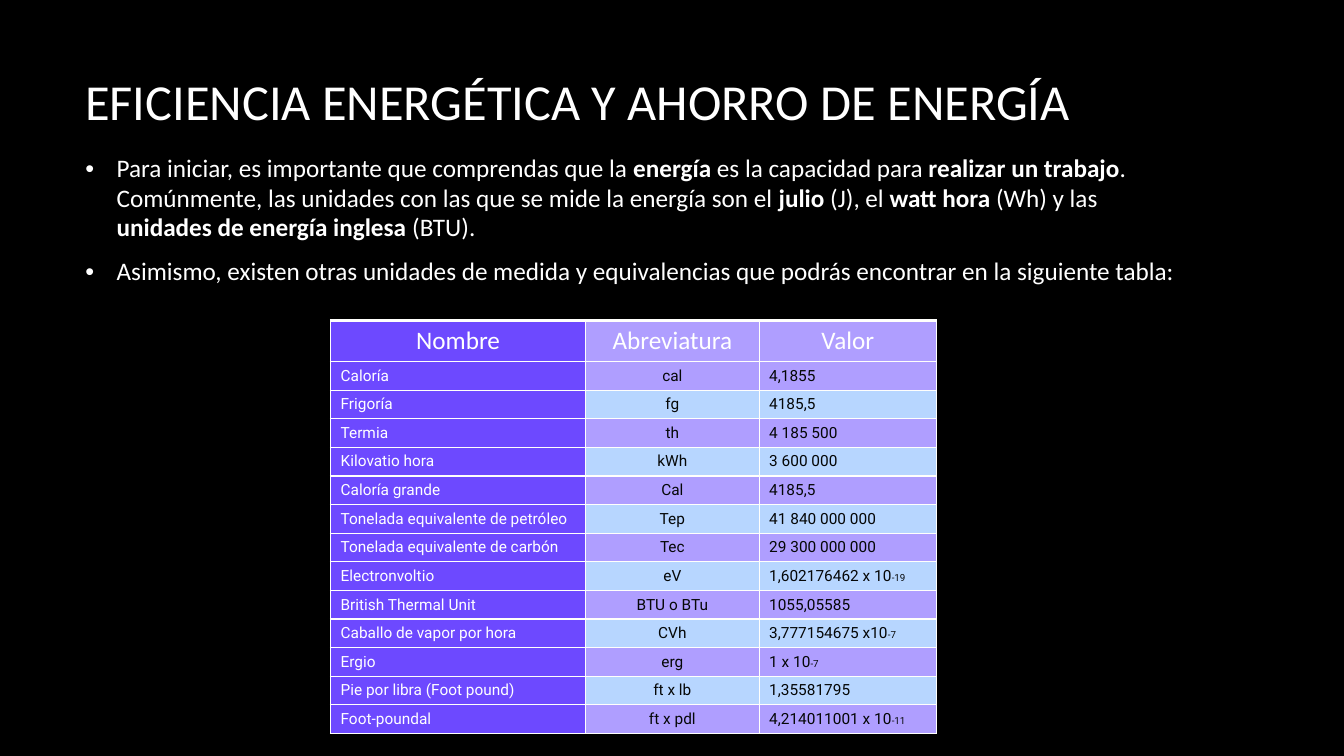
from lxml import etree
from pptx import Presentation
from pptx.dml.color import RGBColor
from pptx.enum.text import MSO_ANCHOR, PP_ALIGN
from pptx.oxml.ns import qn
from pptx.util import Cm, Pt

MIDDLE = MSO_ANCHOR.MIDDLE
LEFT = PP_ALIGN.LEFT
CENTER = PP_ALIGN.CENTER

BLACK = RGBColor(0x00, 0x00, 0x00)
WHITE = RGBColor(0xFF, 0xFF, 0xFF)
INK = RGBColor(0x05, 0x07, 0x07)
BORDER = RGBColor(0xFF, 0xFF, 0xFC)
PURPLE = RGBColor(0x6D, 0x49, 0xFF)
LILAC = RGBColor(0xAF, 0x9E, 0xFF)
SKY = RGBColor(0xB7, 0xD6, 0xFF)

TITLE_FONT = {"name": "Calibri", "size": Pt(36), "color": WHITE}
BODY_FONT = {"name": "Calibri", "size": Pt(18), "color": WHITE}
NAME_FONT = {"name": "Roboto", "size": Pt(11), "color": WHITE}
DATA_FONT = {**NAME_FONT, "color": INK}
EXPONENT_FONT = {**DATA_FONT, "size": Pt(7)}

TITLE = "EFICIENCIA ENERGÉTICA Y AHORRO DE ENERGÍA"
# Asterisks enclose bold words.
BULLETS = [
    "Para iniciar, es importante que comprendas que la *energía *es la capacidad para "
    "*realizar un trabajo*. Comúnmente, las unidades con las que se mide la energía son el "
    "*julio *(J), el *watt hora *(Wh) y las *unidades de energía inglesa *(BTU).",
    "Asimismo, existen otras unidades de medida y equivalencias que podrás encontrar "
    "en la siguiente tabla:",
]
HEADINGS = ("Nombre", "Abreviatura", "Valor")
# A caret precedes the small exponent.
UNITS = [
    ("Caloría", "cal", "4,1855"),
    ("Frigoría", "fg", "4185,5"),
    ("Termia", "th", "4 185 500"),
    ("Kilovatio hora", "kWh", "3 600 000"),
    ("Caloría grande", "Cal", "4185,5"),
    ("Tonelada equivalente de petróleo", "Tep", "41 840 000 000"),
    ("Tonelada equivalente de carbón", "Tec", "29 300 000 000"),
    ("Electronvoltio", "eV", "1,602176462 x 10^-19"),
    ("British Thermal Unit", "BTU o BTu", "1055,05585"),
    ("Caballo de vapor por hora", "CVh", "3,777154675 x10^-7"),
    ("Ergio", "erg", "1 x 10^-7"),
    ("Pie por libra (Foot pound)", "ft x lb", "1,35581795"),
    ("Foot-poundal", "ft x pdl", "4,214011001 x 10^-11"),
]
COLUMN_WIDTHS = (Cm(6.43), Cm(4.37), Cm(4.47))
HEADING_HEIGHT = Cm(1.03)
UNIT_HEIGHT = Cm(0.72)


def add_run(paragraph, text, font_values):
    run = paragraph.add_run()
    run.text = text
    for name, value in font_values.items():
        if name == "color":
            run.font.color.rgb = value
        else:
            setattr(run.font, name, value)


def add_text_box(slide, left, top, width, height):
    frame = slide.shapes.add_textbox(left, top, width, height).text_frame
    frame.word_wrap = True
    frame.vertical_anchor = MIDDLE
    return frame


def add_title(slide):
    frame = add_text_box(slide, Cm(1.9), Cm(1.02), Cm(28.14), Cm(3.02))
    add_run(frame.paragraphs[0], TITLE, TITLE_FONT)


def set_bullet(paragraph):
    properties = paragraph._p.get_or_add_pPr()
    properties.set("marL", str(Cm(0.79)))
    properties.set("indent", str(-Cm(0.79)))
    etree.SubElement(properties, qn("a:buFont"), typeface="Arial")
    etree.SubElement(properties, qn("a:buChar"), char="•")


def add_bullets(slide):
    frame = add_text_box(slide, Cm(1.9), Cm(3.53), Cm(28.14), Cm(4.04))
    for index, text in enumerate(BULLETS):
        paragraph = frame.add_paragraph() if index else frame.paragraphs[0]
        set_bullet(paragraph)
        paragraph.space_after = Pt(10)
        paragraph.line_spacing = 0.98
        for part, words in enumerate(text.split("*")):
            add_run(paragraph, words, {**BODY_FONT, "bold": part % 2 == 1})


def set_borders(cell, top_width):
    properties = cell._tc.get_or_add_tcPr()
    widths = {"a:lnL": Pt(1), "a:lnR": Pt(1), "a:lnT": top_width, "a:lnB": Pt(1)}
    for tag, width in widths.items():
        line = etree.SubElement(properties, qn(tag), w=str(width))
        fill = etree.SubElement(line, qn("a:solidFill"))
        etree.SubElement(fill, qn("a:srgbClr"), val=str(BORDER))


def fill_cell(cell, text, font_values, alignment, color, top_width=Pt(1)):
    set_borders(cell, top_width)
    cell.fill.solid()
    cell.fill.fore_color.rgb = color
    cell.vertical_anchor = MIDDLE
    paragraph = cell.text_frame.paragraphs[0]
    paragraph.alignment = alignment
    base, _, exponent = text.partition("^")
    add_run(paragraph, base, font_values)
    if exponent:
        add_run(paragraph, exponent, EXPONENT_FONT)


def add_units_table(slide):
    height = HEADING_HEIGHT + UNIT_HEIGHT * len(UNITS)
    table = slide.shapes.add_table(
        len(UNITS) + 1, len(HEADINGS), Cm(8.33), Cm(8.08), sum(COLUMN_WIDTHS), height
    ).table
    table.first_row = False
    table.horz_banding = False
    for column, width in zip(table.columns, COLUMN_WIDTHS):
        column.width = width
    for row in table.rows:
        row.height = UNIT_HEIGHT
    table.rows[0].height = HEADING_HEIGHT

    for column, heading in enumerate(HEADINGS):
        color = LILAC if column else PURPLE
        fill_cell(table.cell(0, column), heading, BODY_FONT, CENTER, color, Pt(1.93))
    for row, (name, abbreviation, value) in enumerate(UNITS, start=1):
        band = LILAC if row % 2 else SKY
        fill_cell(table.cell(row, 0), name, NAME_FONT, LEFT, PURPLE)
        fill_cell(table.cell(row, 1), abbreviation, DATA_FONT, CENTER, band)
        fill_cell(table.cell(row, 2), value, DATA_FONT, LEFT, band)


def main():
    presentation = Presentation()
    presentation.slide_width = Cm(33.87)
    presentation.slide_height = Cm(19.05)
    slide = presentation.slides.add_slide(presentation.slide_layouts[6])
    slide.background.fill.solid()
    slide.background.fill.fore_color.rgb = BLACK
    add_title(slide)
    add_bullets(slide)
    add_units_table(slide)
    presentation.save("out.pptx")


if __name__ == "__main__":
    main()
